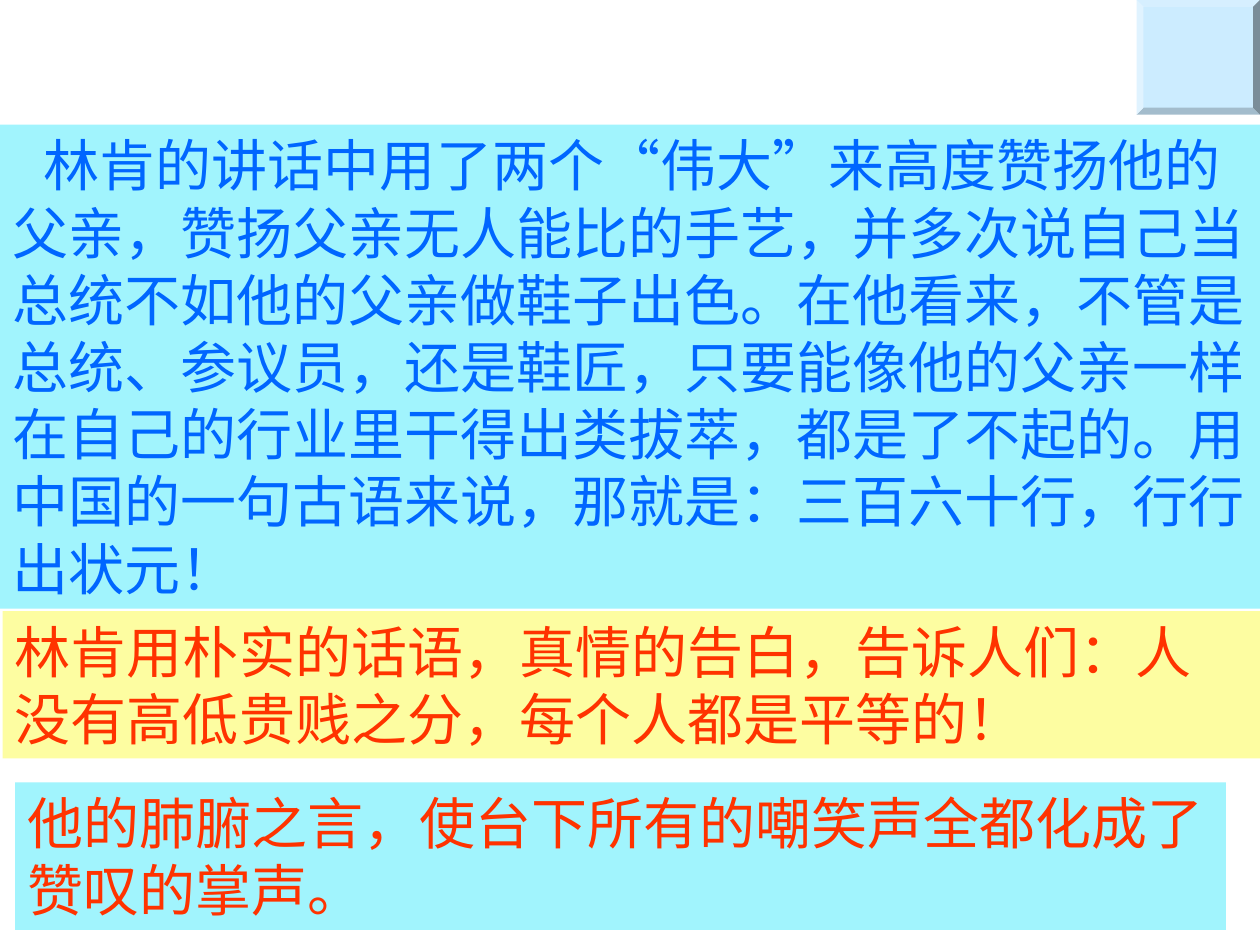
from dataclasses import dataclass

import pptx
import pptx.dml.color
import pptx.enum.lang
import pptx.enum.shapes
import pptx.enum.text
import pptx.oxml
import pptx.oxml.ns
import pptx.util


@dataclass(frozen=True)
class Theme:
    font: str = "Noto Sans CJK SC"
    body_size: int = 32
    aqua: str = "A1F4FD"
    yellow: str = "FDFDA1"
    pale_blue: str = "CCECFF"
    blue: str = "0066FF"
    red: str = "FF3300"


class SlideBuilder:
    """Places elements on a grid of 100 columns by 75 rows."""

    COLUMNS, ROWS = 100, 75

    def __init__(self, presentation, theme):
        self.theme = theme
        self.column = presentation.slide_width / self.COLUMNS
        self.row = presentation.slide_height / self.ROWS
        self.slide = presentation.slides.add_slide(presentation.slide_layouts[6])

    def add_shape(self, kind, left, top, width, height, fill):
        shape = self.slide.shapes.add_shape(
            kind,
            round(left * self.column), round(top * self.row),
            round(width * self.column), round(height * self.row),
        )
        shape.shadow.inherit = False
        shape.fill.solid()
        shape.fill.fore_color.rgb = pptx.dml.color.RGBColor.from_string(fill)
        shape.line.fill.background()
        return shape

    def add_bevel(self, left, top, width, height, fill, edge):
        """Add a raised button; edge is the rim as a share of the shorter side."""
        bevel = self.add_shape(
            pptx.enum.shapes.MSO_SHAPE.BEVEL, left, top, width, height, fill)
        bevel.adjustments[0] = edge

    def add_passage(self, text, left, top, width, height, fill, color, indent=0):
        """Add a filled text panel; indent is the first line's, in columns."""
        panel = self.add_shape(
            pptx.enum.shapes.MSO_SHAPE.RECTANGLE, left, top, width, height, fill)
        frame = panel.text_frame
        frame.text = text
        frame.word_wrap = True
        frame.auto_size = pptx.enum.text.MSO_AUTO_SIZE.SHAPE_TO_FIT_TEXT
        frame.vertical_anchor = pptx.enum.text.MSO_ANCHOR.TOP
        paragraph = frame.paragraphs[0]
        paragraph.alignment = pptx.enum.text.PP_ALIGN.LEFT
        if indent:
            properties = paragraph._p.get_or_add_pPr()
            properties.set("marL", "0")
            properties.set("indent", str(round(indent * self.column)))
        self.style_run(paragraph.runs[0], color)

    def style_run(self, run, color):
        font = run.font
        font.name = self.theme.font
        font.size = pptx.util.Pt(self.theme.body_size)
        font.color.rgb = pptx.dml.color.RGBColor.from_string(color)
        font.language_id = pptx.enum.lang.MSO_LANGUAGE_ID.SIMPLIFIED_CHINESE
        east_asian = pptx.oxml.parse_xml(
            f'<a:ea {pptx.oxml.ns.nsdecls("a")} typeface="{self.theme.font}"/>')
        run._r.get_or_add_rPr().find(pptx.oxml.ns.qn("a:latin")).addnext(east_asian)


def main():
    presentation = pptx.Presentation()
    presentation.slide_width = pptx.util.Inches(10)
    presentation.slide_height = pptx.util.Inches(7.5)
    theme = Theme()
    builder = SlideBuilder(presentation, theme)

    builder.add_bevel(90.2, 0, 9.8, 9.1, theme.pale_blue, edge=0.06)
    builder.add_passage(
        "林肯的讲话中用了两个“伟大”来高度赞扬他的父亲，赞扬父亲无人能比的手艺，"
        "并多次说自己当总统不如他的父亲做鞋子出色。在他看来，不管是总统、参议员，"
        "还是鞋匠，只要能像他的父亲一样在自己的行业里干得出类拔萃，都是了不起的。"
        "用中国的一句古语来说，那就是：三百六十行，行行出状元！",
        0, 9.9, 100, 38.4, theme.aqua, theme.blue, indent=2.5)
    builder.add_passage(
        "林肯用朴实的话语，真情的告白，告诉人们：人没有高低贵贱之分，每个人都是平等的！",
        0.2, 48.5, 99.8, 11.7, theme.yellow, theme.red)
    builder.add_passage(
        "他的肺腑之言，使台下所有的嘲笑声全都化成了赞叹的掌声。",
        1.2, 62.1, 96.1, 11.7, theme.aqua, theme.red)

    presentation.save("out.pptx")


if __name__ == "__main__":
    main()
